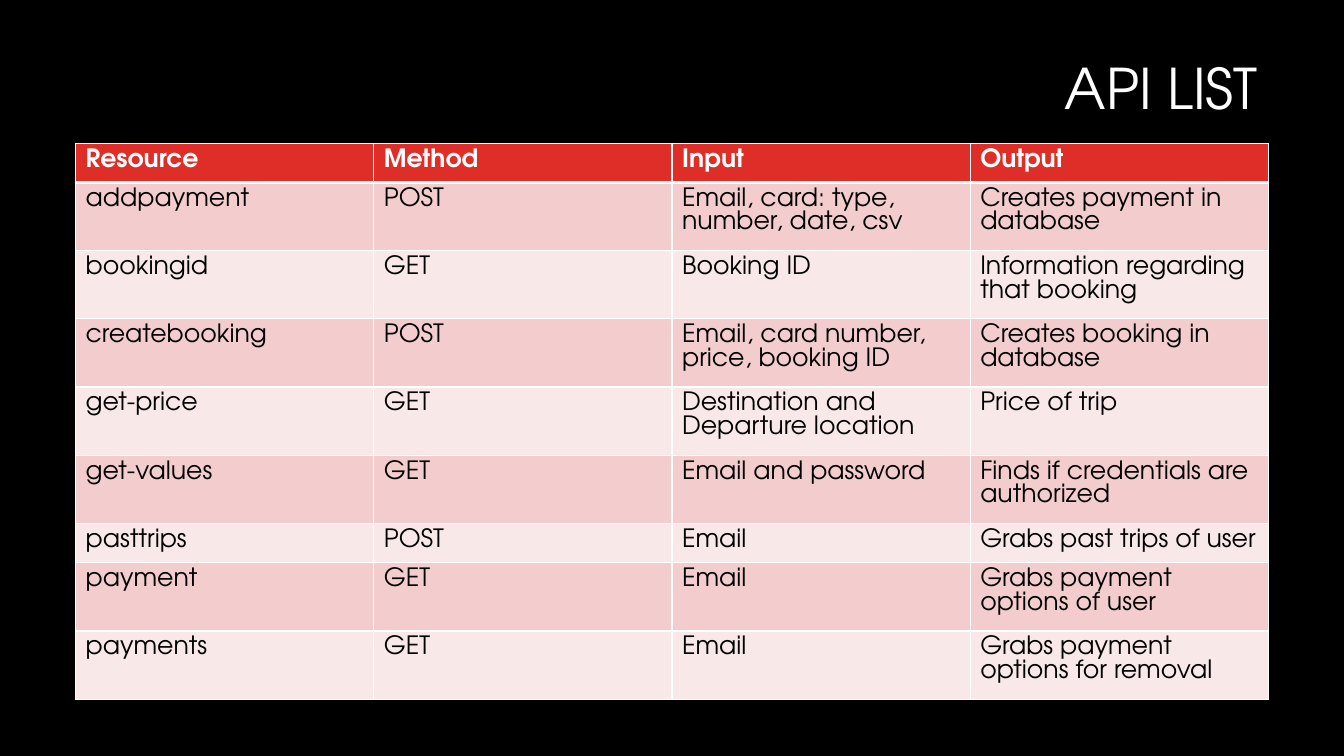
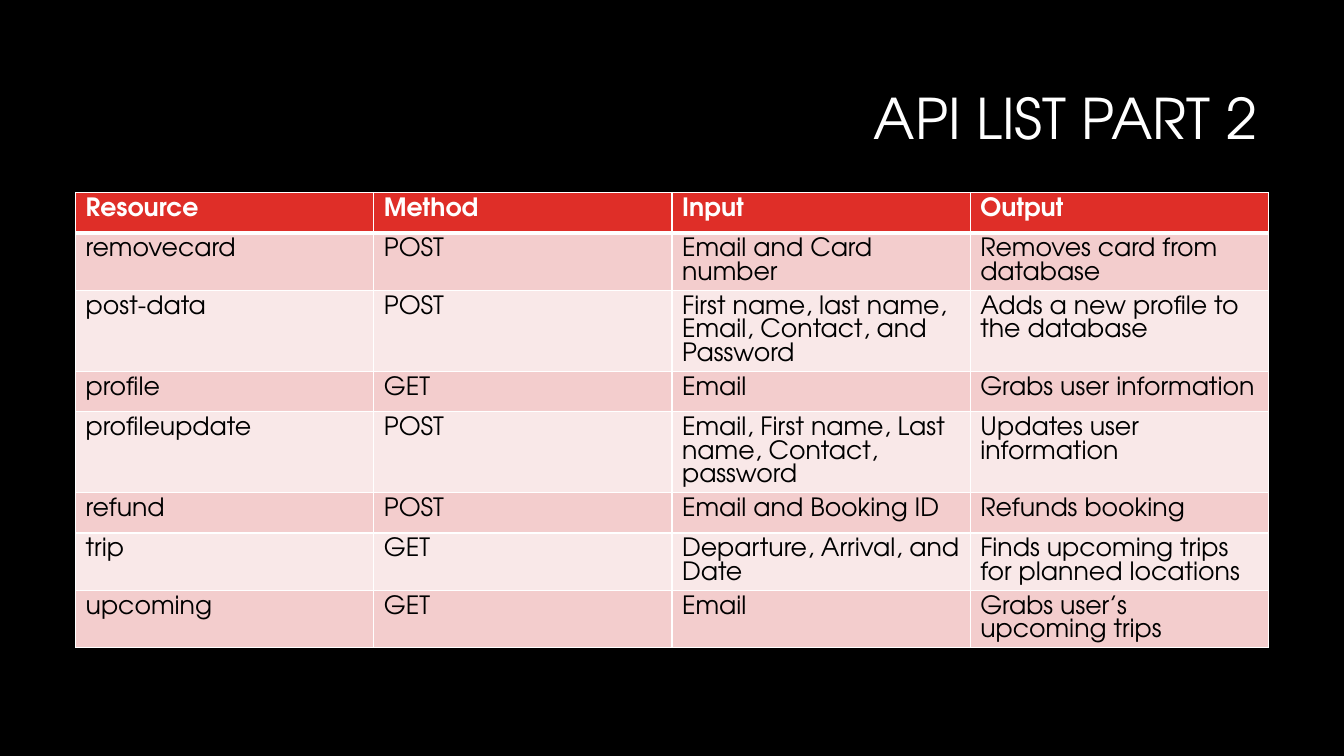
from dataclasses import dataclass

from lxml import etree
from pptx import Presentation
from pptx.dml.color import RGBColor
from pptx.enum.text import MSO_ANCHOR, PP_ALIGN
from pptx.oxml.ns import qn
from pptx.util import Inches, Pt

RIGHT = PP_ALIGN.RIGHT
MIDDLE = MSO_ANCHOR.MIDDLE


@dataclass(frozen=True)
class Theme:
    font: str = "TeX Gyre Adventor"
    background: str = "000000"
    light: str = "FFFFFF"
    dark: str = "000000"
    header: str = "DF2E28"
    bands: tuple = ("F3CDCD", "F9E8E8")
    title_size: int = 40
    table_size: int = 18
    table_leading: float = 16.9
    border: int = 1
    header_border: int = 3


theme = Theme()


def add_run(paragraph, text, size, color, bold=False):
    run = paragraph.add_run()
    run.text = text
    run.font.name = theme.font
    run.font.size = Pt(size)
    run.font.bold = bold
    run.font.color.rgb = RGBColor.from_string(color)


def add_border(cell, side, width):
    properties = cell._tc.get_or_add_tcPr()
    line = etree.SubElement(properties, qn(f"a:ln{side}"), w=str(Pt(width)))
    fill = etree.SubElement(line, qn("a:solidFill"))
    etree.SubElement(fill, qn("a:srgbClr"), val=theme.light)


HEADINGS = ("Resource", "Method", "Input", "Output")
SINGLE = 0.39
DOUBLE = (5.52 - 2 * SINGLE) / 7
ONE_LINE, TWO_LINES, THREE_LINES = 0.4, 0.57, 0.8

SLIDES = [
    ("API LIST", 0.2, 1.42, SINGLE, [
        (DOUBLE, "addpayment", "POST", "Email, card: type, number, date, csv", "Creates payment in database"),
        (DOUBLE, "bookingid", "GET", "Booking ID", "Information regarding that booking"),
        (DOUBLE, "createbooking", "POST", "Email, card number, price, booking ID", "Creates booking in database"),
        (DOUBLE, "get-price", "GET", "Destination and Departure location", "Price of trip"),
        (DOUBLE, "get-values", "GET", "Email and password", "Finds if credentials are authorized"),
        (SINGLE, "pasttrips", "POST", "Email", "Grabs past trips of user"),
        (DOUBLE, "payment", "GET", "Email", "Grabs payment options of user"),
        (DOUBLE, "payments", "GET", "Email", "Grabs payment options for removal"),
    ]),
    ("API LIST PART 2", 0.5, 1.91, ONE_LINE, [
        (TWO_LINES, "removecard", "POST", "Email and Card number", "Removes card from database"),
        (THREE_LINES, "post-data", "POST", "First name, last name, Email, Contact, and Password",
         "Adds a new profile to the database"),
        (ONE_LINE, "profile", "GET", "Email", "Grabs user information"),
        (THREE_LINES, "profileupdate", "POST", "Email, First name, Last name, Contact, password",
         "Updates user information"),
        (ONE_LINE, "refund", "POST", "Email and Booking ID", "Refunds booking"),
        (TWO_LINES, "trip", "GET", "Departure, Arrival, and Date", "Finds upcoming trips for planned locations"),
        (TWO_LINES, "upcoming", "GET", "Email", "Grabs user’s upcoming trips"),
    ]),
]

presentation = Presentation()
presentation.slide_width = Inches(13.33)
presentation.slide_height = Inches(7.5)
blank_layout = presentation.slide_layouts[6]

for title, title_top, table_top, header_height, entries in SLIDES:
    slide = presentation.slides.add_slide(blank_layout)
    slide.background.fill.solid()
    slide.background.fill.fore_color.rgb = RGBColor.from_string(theme.background)

    title_box = slide.shapes.add_textbox(Inches(3.15), Inches(title_top), Inches(9.42), Inches(1.41))
    title_box.text_frame.word_wrap = True
    title_box.text_frame.vertical_anchor = MIDDLE
    paragraph = title_box.text_frame.paragraphs[0]
    paragraph.alignment = RIGHT
    paragraph.line_spacing = 0.9
    add_run(paragraph, title, theme.title_size, theme.light)

    rows = [(header_height, *HEADINGS), *entries]
    table_height = sum(row[0] for row in rows)
    table_shape = slide.shapes.add_table(
        len(rows), len(HEADINGS), Inches(0.75), Inches(table_top), Inches(11.83), Inches(table_height))
    table = table_shape.table

    for row_index, (row_height, *texts) in enumerate(rows):
        table.rows[row_index].height = Inches(row_height)
        is_header = row_index == 0
        fill_color = theme.header if is_header else theme.bands[(row_index - 1) % 2]
        text_color = theme.light if is_header else theme.dark
        widths = {"L": theme.border, "R": theme.border,
                  "T": theme.header_border if row_index == 1 else theme.border,
                  "B": theme.header_border if is_header else theme.border}
        for column_index, text in enumerate(texts):
            cell = table.cell(row_index, column_index)
            for side, width in widths.items():
                add_border(cell, side, width)
            cell.fill.solid()
            cell.fill.fore_color.rgb = RGBColor.from_string(fill_color)
            paragraph = cell.text_frame.paragraphs[0]
            paragraph.line_spacing = Pt(theme.table_leading)
            add_run(paragraph, text, theme.table_size, text_color, is_header)

presentation.save("out.pptx")
